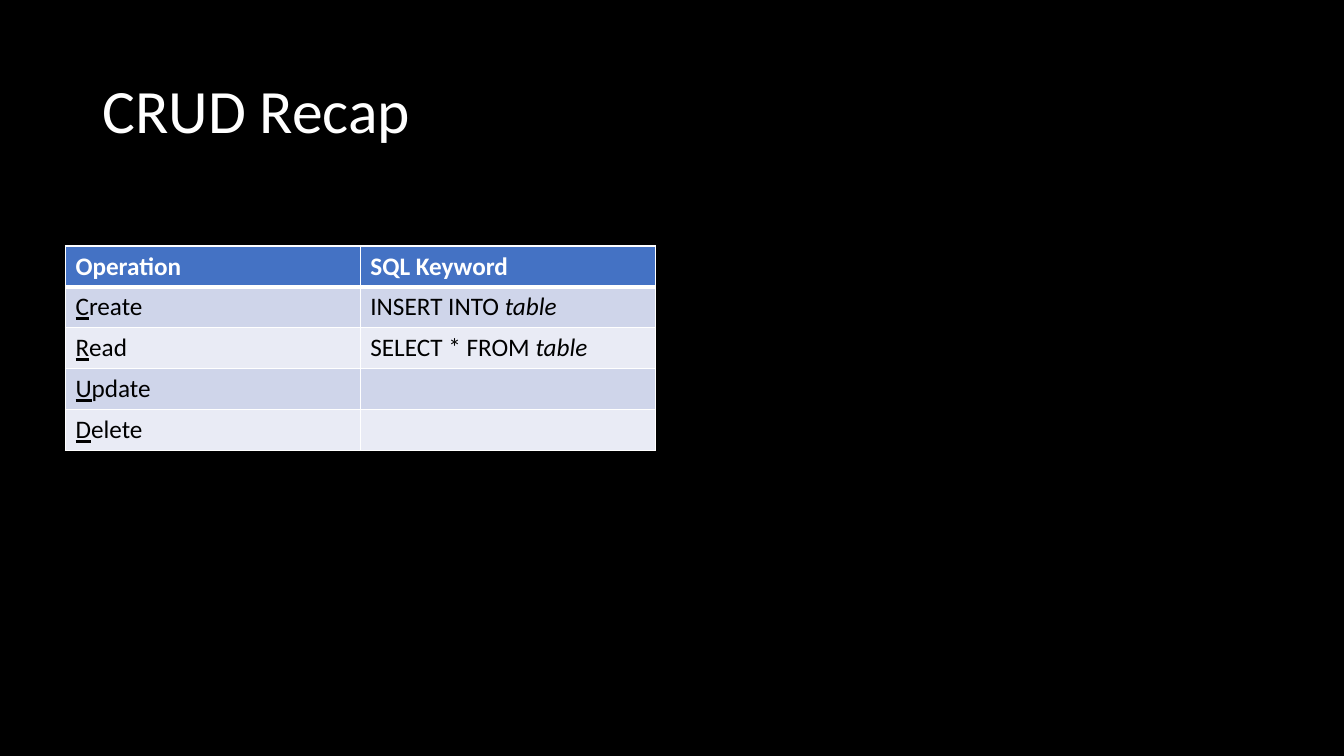
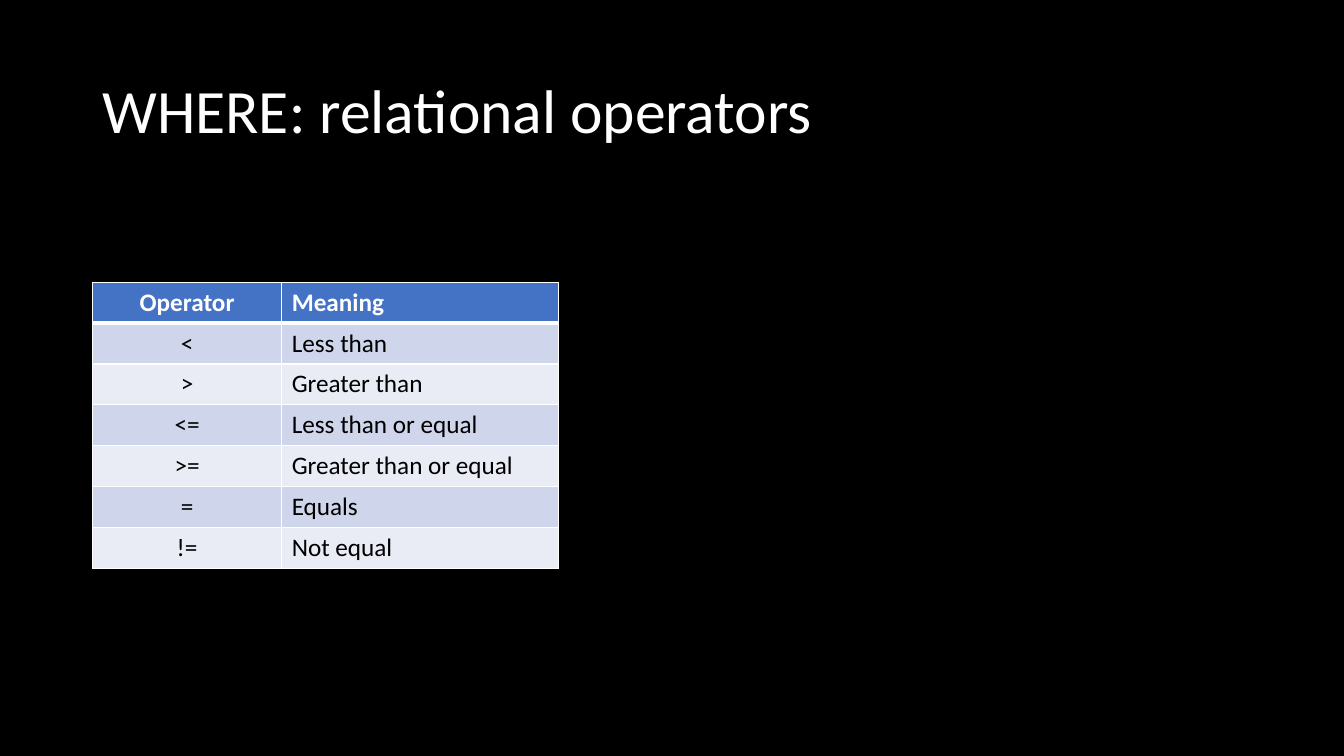
from lxml import etree
from pptx import Presentation
from pptx.dml.color import RGBColor
from pptx.enum import text as txt
from pptx.oxml import ns
from pptx.util import Cm, Pt

FONT = "Calibri"
BLACK, WHITE = "000000", "FFFFFF"
HEADER_FILL = "4472C4"
BAND_FILLS = ("CFD5EA", "E9EBF5")
TITLE_BOX = (2.33, 1.01, 29.21, 3.68)
ROW_HEIGHT = 1.03
THIN, THICK = 1, 3
LEFT, CENTER = txt.PP_ALIGN.LEFT, txt.PP_ALIGN.CENTER


def paint(color_owner, color):
    """Give a fill a solid colour from a hex string."""
    color_owner.solid()
    color_owner.fore_color.rgb = RGBColor.from_string(color)


def write(frame, runs, size=18, color=BLACK, bold=False, align=LEFT, spacing=1.0):
    """Fill the first paragraph; each run is a string or (string, font attribute)."""
    paragraph = frame.paragraphs[0]
    paragraph.alignment = align
    paragraph.line_spacing = spacing
    paragraph.font.size = Pt(size)
    for part in runs:
        wording, emphasis = (part, None) if isinstance(part, str) else part
        run = paragraph.add_run()
        run.text = wording
        run.font.name = FONT
        run.font.size = Pt(size)
        run.font.bold = bold
        paint(run.font.fill, color)
        if emphasis:
            setattr(run.font, emphasis, True)


def add_borders(cell, **widths):
    """Draw white borders; call before filling, as lines come first in the XML."""
    properties = cell._tc.get_or_add_tcPr()
    for side in "LRTB":
        line = etree.SubElement(properties, ns.qn(f"a:ln{side}"),
                                w=str(Pt(widths.get(side, THIN))))
        solid = etree.SubElement(line, ns.qn("a:solidFill"))
        etree.SubElement(solid, ns.qn("a:srgbClr"), val=WHITE)


def add_titled_slide(deck, title):
    slide = deck.slides.add_slide(deck.slide_layouts[6])
    paint(slide.background.fill, BLACK)
    frame = slide.shapes.add_textbox(*map(Cm, TITLE_BOX)).text_frame
    frame.word_wrap = True
    frame.vertical_anchor = txt.MSO_ANCHOR.MIDDLE
    write(frame, [title], size=44, color=WHITE, spacing=0.9)
    return slide


def add_banded_table(slide, left, top, widths, rows, aligns=(LEFT, LEFT)):
    """Place a table whose first row is the header; each cell is a list of runs."""
    table = slide.shapes.add_table(
        len(rows), len(widths), Cm(left), Cm(top),
        Cm(sum(widths)), Cm(ROW_HEIGHT * len(rows))).table
    for column, width in zip(table.columns, widths):
        column.width = Cm(width)
    for r, row in enumerate(rows):
        table.rows[r].height = Cm(ROW_HEIGHT)
        header = r == 0
        for c, runs in enumerate(row):
            cell = table.cell(r, c)
            add_borders(cell, T=THICK if r == 1 else THIN,
                        B=THICK if header else THIN)
            paint(cell.fill, HEADER_FILL if header else BAND_FILLS[(r - 1) % 2])
            write(cell.text_frame, runs, color=WHITE if header else BLACK,
                  bold=header, align=aligns[c])


def crud_slide(deck):
    slide = add_titled_slide(deck, "CRUD Recap")
    statements = {
        "Create": ["INSERT INTO ", ("table", "italic")],
        "Read": ["SELECT * FROM ", ("table", "italic")],
        "Update": [],
        "Delete": [],
    }
    rows = [(["Operation"], ["SQL Keyword"])]
    rows += [([(operation[0], "underline"), operation[1:]], keyword)
             for operation, keyword in statements.items()]
    add_banded_table(slide, 1.65, 6.2, (7.43, 7.43), rows)


def operators_slide(deck):
    slide = add_titled_slide(deck, "WHERE: relational operators")
    meanings = [
        ("Operator", "Meaning"),
        ("<", "Less than"),
        (">", "Greater than"),
        ("<=", "Less than or equal"),
        (">=", "Greater than or equal"),
        ("=", "Equals"),
        ("!=", "Not equal"),
    ]
    rows = [([operator], [meaning]) for operator, meaning in meanings]
    add_banded_table(slide, 2.33, 7.11, (4.77, 6.98), rows, (CENTER, LEFT))


def main():
    deck = Presentation()
    deck.slide_width, deck.slide_height = Cm(33.87), Cm(19.05)
    crud_slide(deck)
    operators_slide(deck)
    deck.save("out.pptx")


if __name__ == "__main__":
    main()
